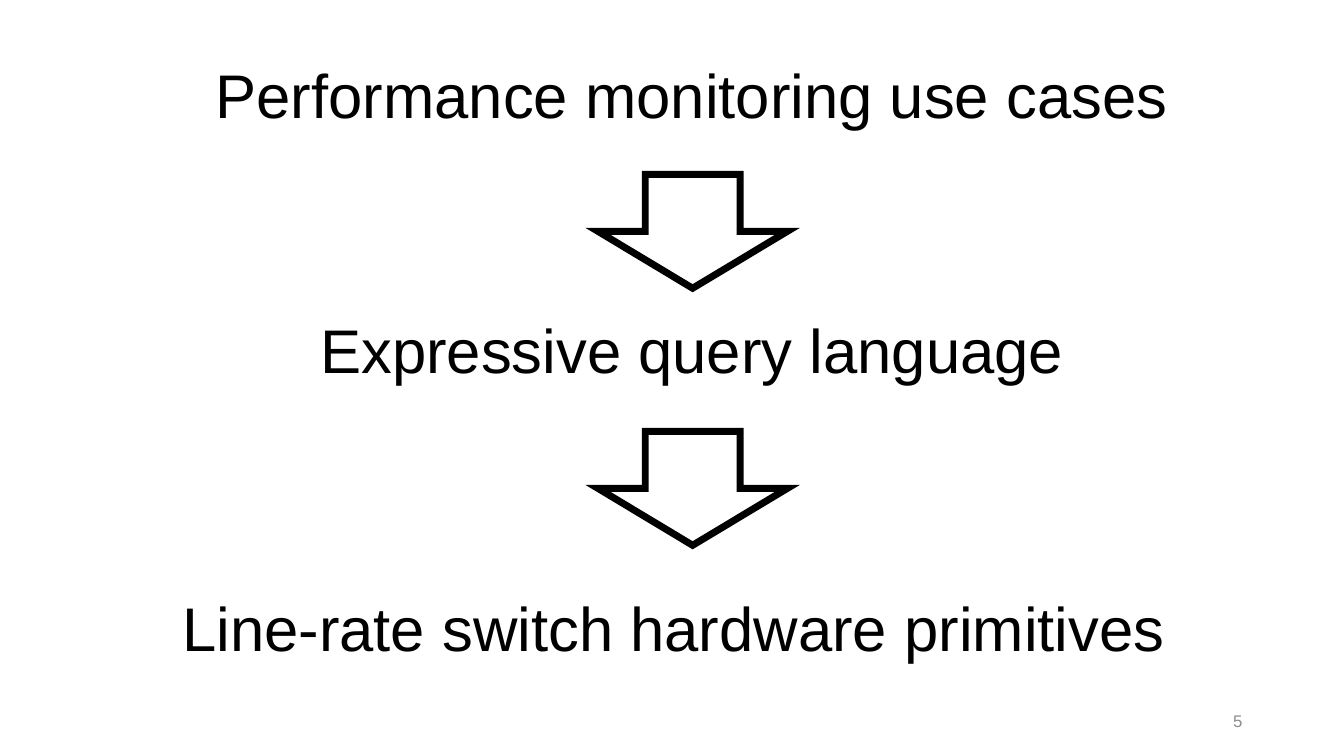
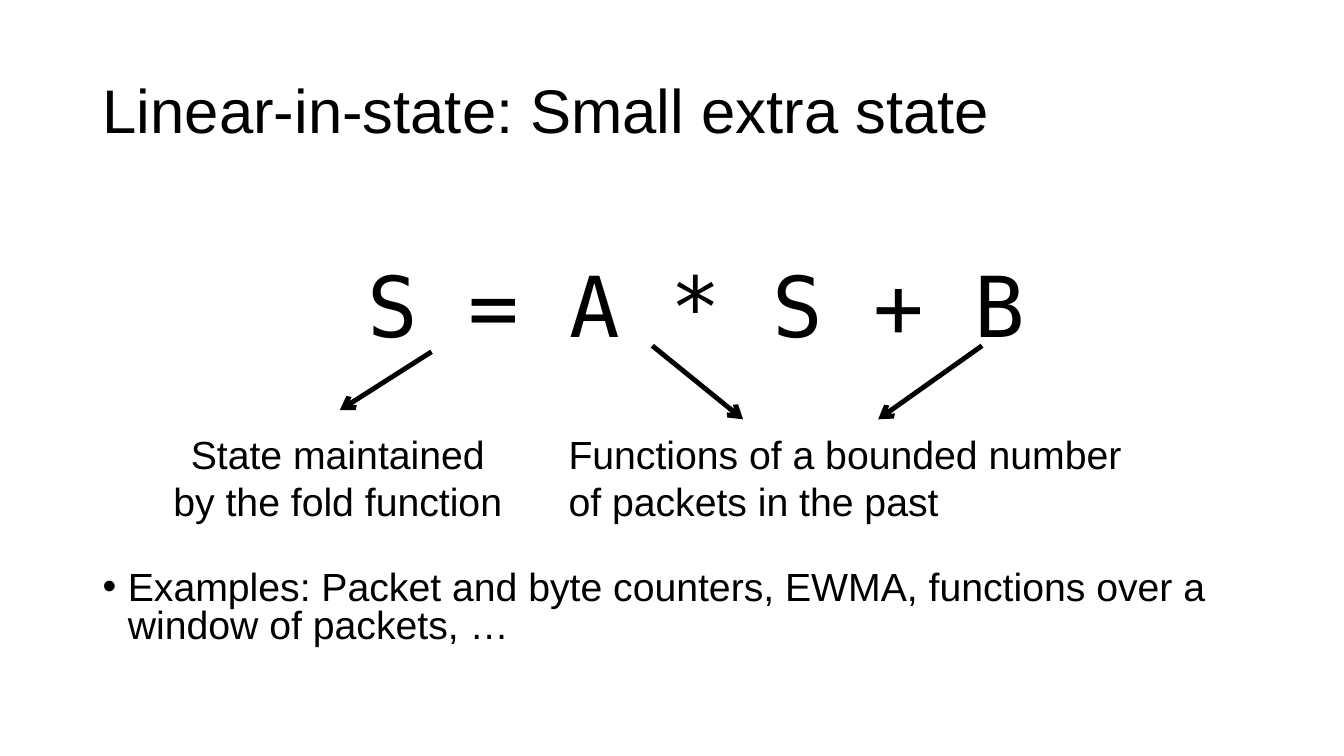
from lxml import etree
from pptx import Presentation
from pptx.dml.color import RGBColor
from pptx.enum import shapes, text
from pptx.oxml import ns
from pptx.util import Inches, Pt

BLACK = RGBColor(0, 0, 0)
GRAY = RGBColor(0x8C, 0x8C, 0x8C)
SANS, MONO = "Arial", "DejaVu Sans Mono"
LEFT, CENTER, RIGHT = text.PP_ALIGN.LEFT, text.PP_ALIGN.CENTER, text.PP_ALIGN.RIGHT
TOP, MIDDLE = text.MSO_ANCHOR.TOP, text.MSO_ANCHOR.MIDDLE
HEAD, BODY = 44, 28

# Content: stages as (text, left, top), arrows as tops
STAGES = [
    ("Performance monitoring use cases", 0.98, 0.52),
    ("Expressive query language", 0.98, 3.05),
    ("Line-rate switch hardware primitives", 0.8, 5.8),
]
DROPS = [1.73, 4.28]
PAGE = "5"

TITLE = "Linear-in-state: Small extra state"
RULE = "S = A * S + B"
LABELS = [
    ("State maintained by the fold function", 1.55, 3.6, CENTER),
    ("Functions of a bounded number of packets in the past", 5.54, 5.78, LEFT),
]
LINKS = [
    (4.28, 3.49, 3.37, 4.07),
    (6.47, 3.43, 7.37, 4.16),
    (9.74, 3.43, 8.71, 4.16),
]
CASES = "Examples: Packet and byte counters, EWMA, functions over a window of packets, …"


def sub(node, tag, **attrs):
    return etree.SubElement(node, ns.qn(tag), **attrs)


def write(slide, words, box, size=BODY, align=LEFT, anchor=TOP,
          font=SANS, color=BLACK, space=None):
    frame = slide.shapes.add_textbox(*map(Inches, box)).text_frame
    frame.word_wrap = True
    frame.vertical_anchor = anchor
    para = frame.paragraphs[0]
    para.alignment = align
    if space:
        para.line_spacing = space
    run = para.add_run()
    run.text = words
    run.font.name, run.font.size = font, Pt(size)
    run.font.color.rgb = color
    return para


def bullet(para):
    props = para._p.get_or_add_pPr()
    props.set("marL", str(Inches(0.25)))
    props.set("indent", str(-Inches(0.25)))
    sub(props, "a:buFont", typeface=SANS)
    sub(props, "a:buChar", char="•")


def stroke(line, width):
    line.color.rgb = BLACK
    line.width = Pt(width)
    edge = line._get_or_add_ln()
    sub(edge, "a:miter", lim="800000")
    return edge


def drop(slide, top):
    box = map(Inches, (5.93, top, 1.88, 1.13))
    shape = slide.shapes.add_shape(shapes.MSO_SHAPE.DOWN_ARROW, *box)
    shape.shadow.inherit = False
    shape.fill.background()
    stroke(shape.line, 5)


def link(slide, ends):
    line = slide.shapes.add_connector(
        shapes.MSO_CONNECTOR.STRAIGHT, *map(Inches, ends))
    sub(stroke(line.line, 3.5), "a:tailEnd", type="arrow")
    sub(line._element.spPr, "a:effectLst")


def stages(slide):
    for words, left, top in STAGES:
        write(slide, words, (left, top, 11.77, 0.84), HEAD, CENTER)
    for top in DROPS:
        drop(slide, top)
    write(slide, PAGE, (9.42, 6.95, 3, 0.4), 12, RIGHT, MIDDLE, color=GRAY)


def linear(slide):
    write(slide, TITLE, (0.92, 0.4, 11.5, 1.45), HEAD, anchor=MIDDLE, space=0.9)
    write(slide, RULE, (1.39, 2.47, 11.03, 1.1), 60, CENTER, font=MONO)
    for words, left, width, align in LABELS:
        write(slide, words, (left, 4.22, width, 1.04), align=align)
    for ends in LINKS:
        link(slide, ends)
    bullet(write(slide, CASES, (0.92, 5.62, 11.5, 0.9), space=0.8))


def main():
    deck = Presentation()
    deck.slide_width, deck.slide_height = Inches(13.33), Inches(7.5)
    for build in (stages, linear):
        build(deck.slides.add_slide(deck.slide_layouts[6]))
    deck.save("out.pptx")


if __name__ == "__main__":
    main()
